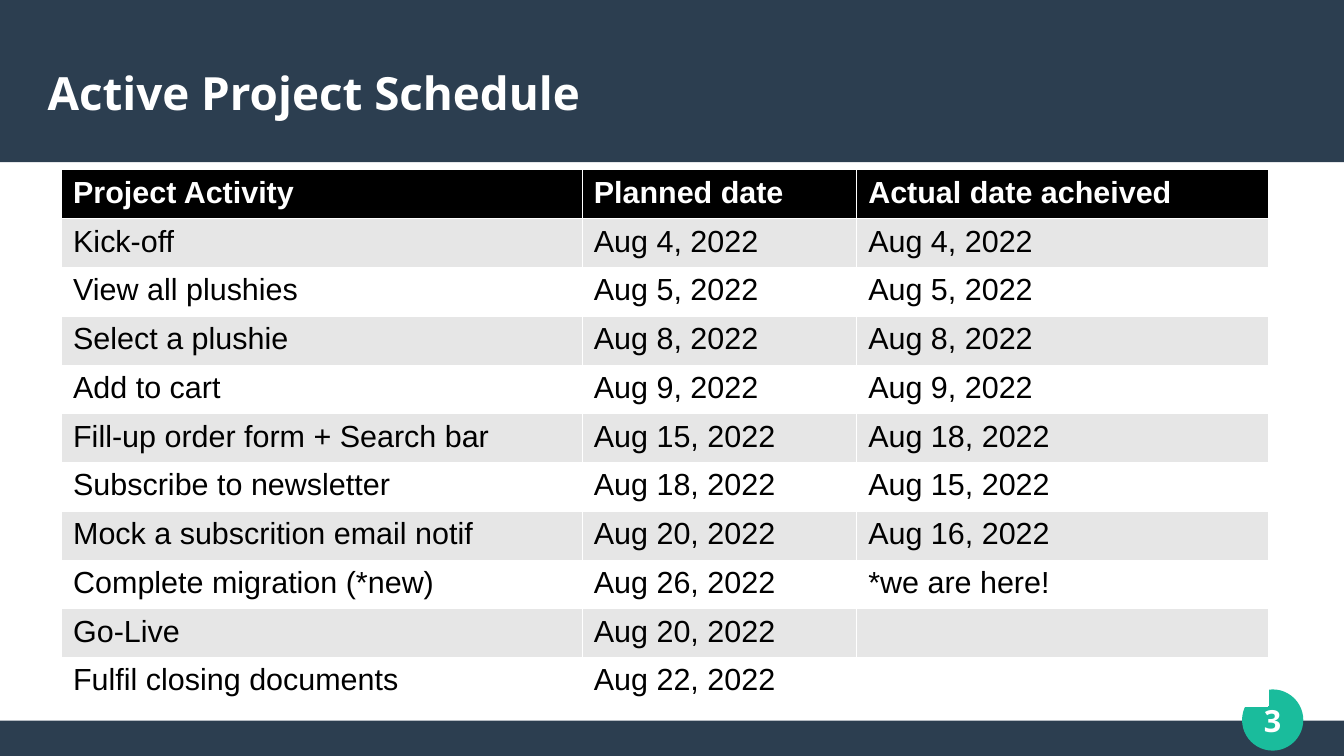
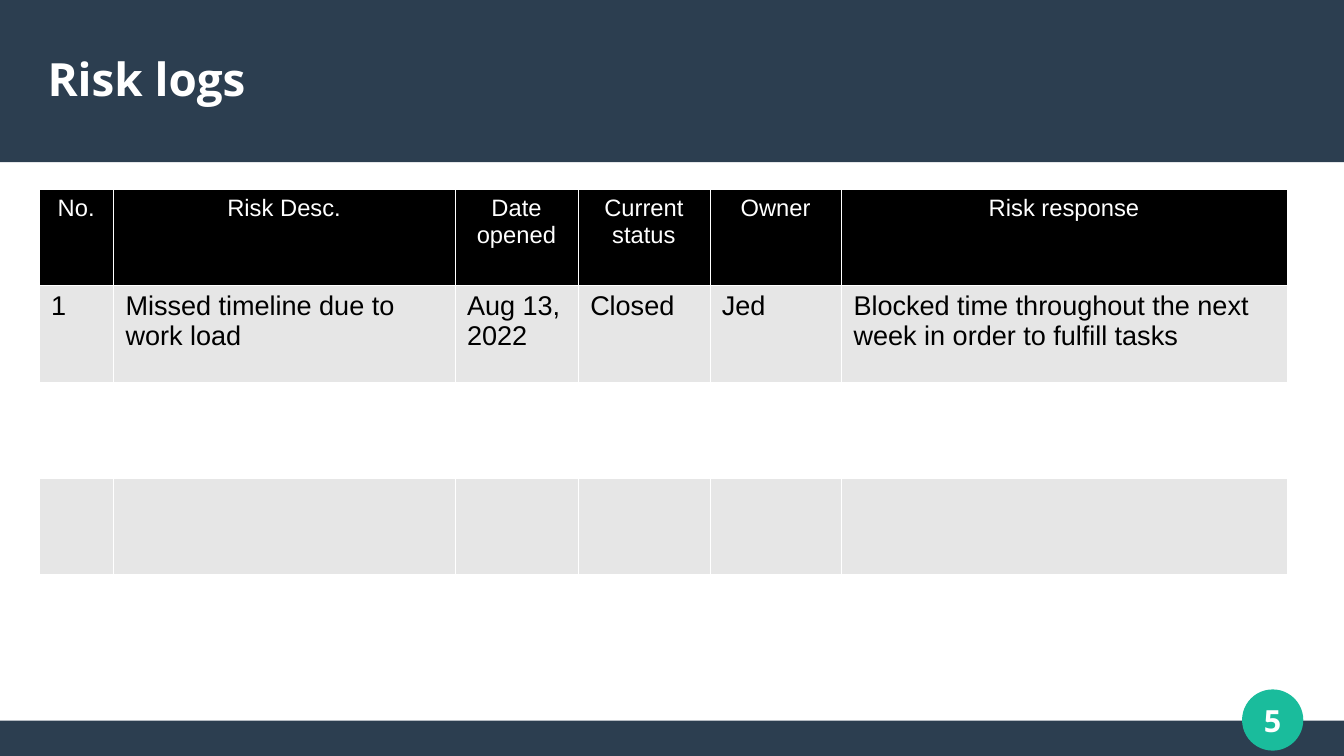
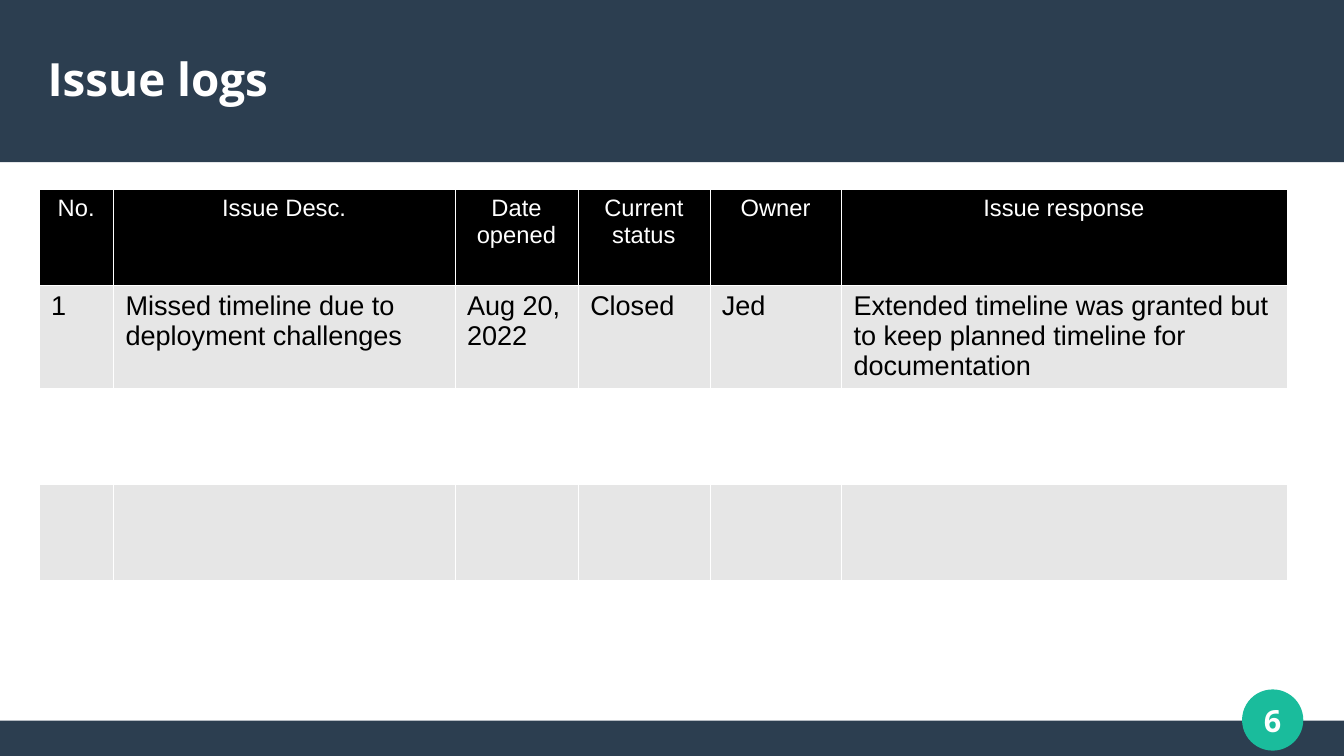
from lxml.etree import SubElement
from pptx import Presentation
from pptx.dml.color import RGBColor
from pptx.enum.shapes import MSO_SHAPE
from pptx.enum.text import MSO_ANCHOR, MSO_AUTO_SIZE, PP_ALIGN
from pptx.oxml.ns import qn
from pptx.util import Inches, Pt

RECTANGLE, OVAL = MSO_SHAPE.RECTANGLE, MSO_SHAPE.OVAL
LEFT, CENTER = PP_ALIGN.LEFT, PP_ALIGN.CENTER
MIDDLE = MSO_ANCHOR.MIDDLE
NO_AUTOFIT = MSO_AUTO_SIZE.NONE

WIDTH, HEIGHT = 11.02, 6.2
TITLE_ONLY = 5
HEADING_FONT, TABLE_FONT = "Open Sans", "Arial"
COLORS = {
    "band": "2C3E50",
    "badge": "1ABC9C",
    "white": "FFFFFF",
    "black": "000000",
    "stripe": "E6E6E6",
}

SCHEDULE = [
    ("Project Activity", "Planned date", "Actual date acheived"),
    ("Kick-off", "Aug 4, 2022", "Aug 4, 2022"),
    ("View all plushies", "Aug 5, 2022", "Aug 5, 2022"),
    ("Select a plushie", "Aug 8, 2022", "Aug 8, 2022"),
    ("Add to cart", "Aug 9, 2022", "Aug 9, 2022"),
    ("Fill-up order form + Search bar", "Aug 15, 2022", "Aug 18, 2022"),
    ("Subscribe to newsletter", "Aug 18, 2022", "Aug 15, 2022"),
    ("Mock a subscrition email notif", "Aug 20, 2022", "Aug 16, 2022"),
    ("Complete migration (*new)", "Aug 26, 2022", "*we are here!"),
    ("Go-Live", "Aug 20, 2022", ""),
    ("Fulfil closing documents", "Aug 22, 2022", ""),
]
SCHEDULE_COLUMNS = [4.27, 2.25, 3.38]

LOG_COLUMNS = [0.61, 2.8, 1.01, 1.08, 1.08, 3.65]
LOG_BLANK_ROWS = 3
LOGS = [
    (5, "Risk", ("1", "Missed timeline due to work load", "Aug 13, 2022", "Closed", "Jed",
                 "Blocked time throughout the next week in order to fulfill tasks")),
    (6, "Issue", ("1", "Missed timeline due to deployment challenges", "Aug 20, 2022", "Closed", "Jed",
                  "Extended timeline was granted but to keep planned timeline for documentation")),
]


def color(name):
    return RGBColor.from_string(COLORS[name])


class DeckBuilder:
    """Holds the shared style and the slide being built."""

    def __init__(self):
        self.deck = Presentation()
        self.deck.slide_width = Inches(WIDTH)
        self.deck.slide_height = Inches(HEIGHT)
        self.slide = None

    def start_slide(self, title, number, line_spacing=1.0):
        self.slide = self.deck.slides.add_slide(self.deck.slide_layouts[TITLE_ONLY])
        self.shape(RECTANGLE, 0, 5.91, WIDTH, 0.29, "band")
        self.shape(RECTANGLE, 0, 0, WIDTH, 1.33, "band")
        self.badge(number)
        self.title(title, line_spacing)

    def shape(self, kind, left, top, width, height, fill):
        shape = self.slide.shapes.add_shape(
            kind, Inches(left), Inches(top), Inches(width), Inches(height))
        shape.shadow.inherit = False
        shape.fill.solid()
        shape.fill.fore_color.rgb = color(fill)
        shape.line.fill.background()
        return shape

    def badge(self, number):
        circle = self.shape(OVAL, 10.19, 5.66, 0.49, 0.49, "badge")
        circle.line.color.rgb = color("badge")
        circle.line.width = Pt(0.85)
        self.heading(circle.text_frame, str(number), 18, CENTER)

    def title(self, text, line_spacing):
        title = self.slide.shapes.title
        title.left, title.top = Inches(0.39), Inches(0.25)
        title.width, title.height = Inches(10.24), Inches(0.79)
        self.slide.shapes._spTree.append(title._element)  # in front of the bands
        self.heading(title.text_frame, text, 27, LEFT)
        title.text_frame.paragraphs[0].line_spacing = line_spacing

    def heading(self, frame, text, size, align):
        frame.margin_left = frame.margin_right = frame.margin_top = frame.margin_bottom = 0
        frame.vertical_anchor = MIDDLE
        frame.auto_size = NO_AUTOFIT
        frame.word_wrap = True
        frame.text = text
        paragraph = frame.paragraphs[0]
        paragraph.alignment = align
        self.style(paragraph.runs[0].font, HEADING_FONT, size, "white", True)

    def style(self, font, name, size, fill, bold):
        font.name = name
        font.size = Pt(size)
        font.bold = bold
        font.color.rgb = color(fill)

    def table(self, left, top, columns, row_height, rows, size=18,
              header_size=18, header_bold=False, header_align=LEFT):
        frame = self.slide.shapes.add_table(
            len(rows), len(columns), Inches(left), Inches(top),
            Inches(sum(columns)), Inches(row_height * len(rows)))
        table = frame.table
        table.first_row = table.horz_banding = False
        for column, width in zip(table.columns, columns):
            column.width = Inches(width)
        for index, values in enumerate(rows):
            table.rows[index].height = Inches(row_height)
            for cell, text in zip(table.rows[index].cells, values):
                if index == 0:
                    self.cell(cell, text, "black", "white", header_size, header_bold, header_align)
                else:
                    self.cell(cell, text, "stripe" if index % 2 else "white", "black", size)

    def cell(self, cell, text, fill, ink, size, bold=False, align=LEFT):
        self.borders(cell)
        cell.fill.solid()
        cell.fill.fore_color.rgb = color(fill)
        cell.text = text
        paragraph = cell.text_frame.paragraphs[0]
        paragraph.alignment = align
        for run in paragraph.runs:
            self.style(run.font, TABLE_FONT, size, ink, bold)
        if not text:  # keeps an empty cell as tall as a filled one
            end = SubElement(paragraph._p, qn("a:endParaRPr"), sz=str(size * 100))
            SubElement(end, qn("a:latin"), typeface=TABLE_FONT)

    def borders(self, cell):
        properties = cell._tc.get_or_add_tcPr()
        for side in ("lnL", "lnR", "lnT", "lnB"):
            line = SubElement(properties, qn("a:" + side), w=str(Pt(0.06)))
            fill = SubElement(line, qn("a:solidFill"))
            SubElement(fill, qn("a:srgbClr"), val=COLORS["white"])


def main():
    builder = DeckBuilder()
    builder.start_slide("Active Project Schedule", 3, line_spacing=1.5)
    builder.table(0.5, 1.39, SCHEDULE_COLUMNS, 0.4, SCHEDULE, header_bold=True)

    for number, topic, entry in LOGS:
        header = ("No.", f"{topic} Desc.", "Date opened", "Current status", "Owner", f"{topic} response")
        blank_rows = [("",) * len(header)] * LOG_BLANK_ROWS
        builder.start_slide(f"{topic} logs", number)
        builder.table(0.32, 1.55, LOG_COLUMNS, 0.79, [header, entry] + blank_rows,
                      size=16, header_size=14, header_align=CENTER)

    builder.deck.save("out.pptx")


if __name__ == "__main__":
    main()
